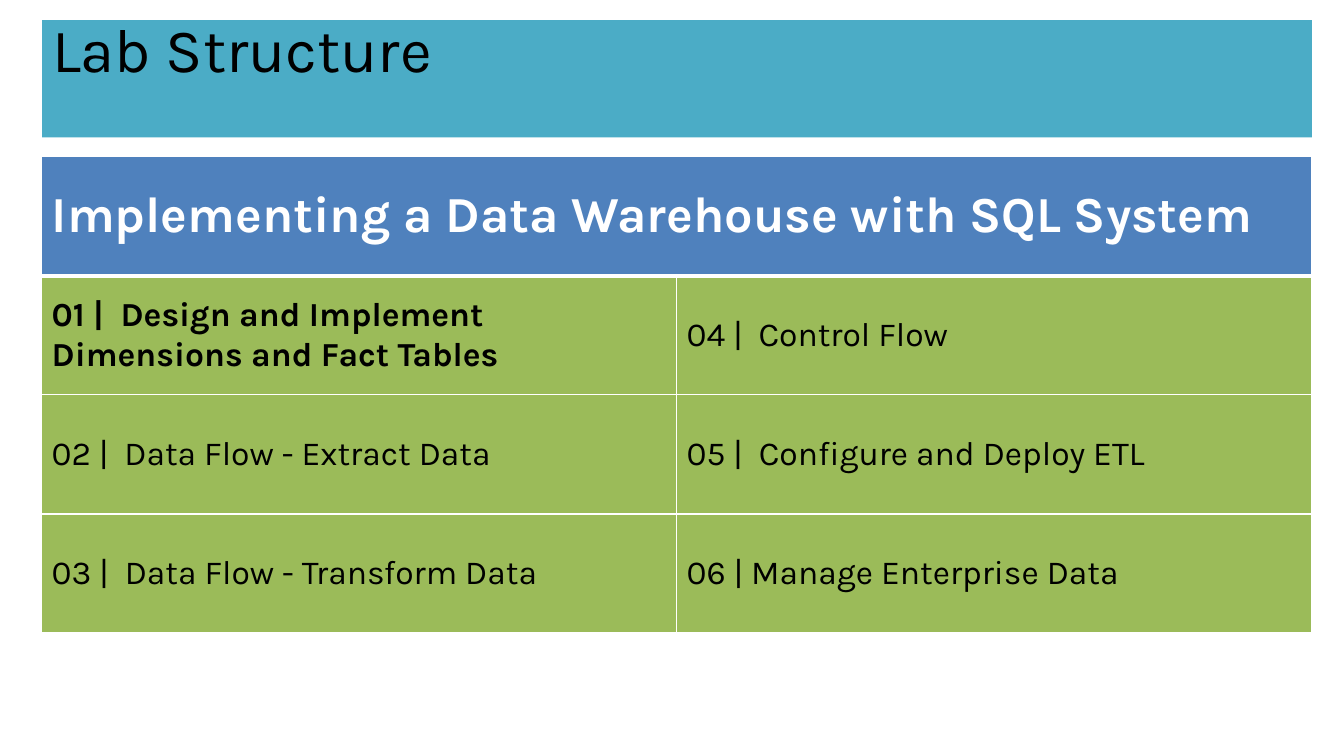
from dataclasses import dataclass

from lxml import etree
from pptx import Presentation
from pptx.dml.color import RGBColor
from pptx.enum.text import MSO_ANCHOR, MSO_AUTO_SIZE, PP_ALIGN
from pptx.oxml.ns import qn
from pptx.util import Cm, Pt

TOP, MIDDLE = MSO_ANCHOR.TOP, MSO_ANCHOR.MIDDLE
LEFT = PP_ALIGN.LEFT
NO_AUTOFIT = MSO_AUTO_SIZE.NONE
FONT = "Karla"
COLOURS = {
    "title": "4BACC6",
    "header": "4F81BD",
    "module": "9BBB59",
    "light": "FFFFFF",
    "dark": "000000",
}
TABLE_WIDTH, ROW_HEIGHT = Cm(32), Cm(3)
THIN, THICK = Pt(1), Pt(3)


@dataclass(frozen=True)
class TextStyle:
    """Size, colour key and weight of a text."""
    size: int
    colour: str
    bold: bool = False


@dataclass(frozen=True)
class Module:
    """One module of the lab and whether it is the current one."""
    text: str
    current: bool = False


TITLE_STYLE = TextStyle(44, "dark")
HEADER_STYLE = TextStyle(36, "light", bold=True)
COURSE = "Implementing a Data Warehouse with SQL System"
MODULES = [
    Module("01 |  Design and Implement Dimensions and Fact Tables", current=True),
    Module("02 |  Data Flow - Extract Data"),
    Module("03 |  Data Flow - Transform Data"),
    Module("04 |  Control Flow"),
    Module("05 |  Configure and Deploy ETL"),
    Module("06 | Manage Enterprise Data"),
]
MODULE_ROWS = 3


def paint(fill, colour: str) -> None:
    """Give a fill one solid colour."""
    fill.solid()
    fill.fore_color.rgb = RGBColor.from_string(COLOURS[colour])


def write(frame, text: str, style: TextStyle) -> None:
    """Set the text of a frame and format it."""
    frame.text = text
    para = frame.paragraphs[0]
    para.alignment = LEFT
    for span in para.runs:
        span.font.name = FONT
        span.font.size = Pt(style.size)
        span.font.bold = style.bold
        span.font.color.rgb = RGBColor.from_string(COLOURS[style.colour])


def add_borders(cell, top: int, bottom: int) -> None:
    """Draw light borders around a cell, thin at its sides."""
    properties = cell._tc.get_or_add_tcPr()
    widths = {"lnL": THIN, "lnR": THIN, "lnT": top, "lnB": bottom}
    for position, (side, width) in enumerate(widths.items()):
        line = etree.Element(qn(f"a:{side}"), w=str(width))
        fill = etree.SubElement(line, qn("a:solidFill"))
        etree.SubElement(fill, qn("a:srgbClr"), val=COLOURS["light"])
        properties.insert(position, line)


def add_title(page, text: str) -> None:
    """Turn the title placeholder into a coloured band."""
    box = page.shapes.title
    box.left, box.top, box.width, box.height = Cm(1.06), Cm(0.51), TABLE_WIDTH, Cm(2.95)
    paint(box.fill, "title")
    frame = box.text_frame
    frame.auto_size = NO_AUTOFIT
    frame.vertical_anchor = TOP
    write(frame, text, TITLE_STYLE)
    frame.paragraphs[0].line_spacing = 0.8


def add_module_table(page) -> None:
    """Draw the course header above the modules, numbered down each column."""
    rows, columns = MODULE_ROWS + 1, len(MODULES) // MODULE_ROWS
    table = page.shapes.add_table(
        rows, columns, Cm(1.05), Cm(3.95), TABLE_WIDTH, ROW_HEIGHT * rows
    ).table
    for row in range(rows):
        for column in range(columns):
            cell = table.cell(row, column)
            cell.vertical_anchor = MIDDLE
            paint(cell.fill, "module" if row else "header")
            add_borders(cell, THICK if row == 1 else THIN, THIN if row else THICK)
    header = table.cell(0, 0)
    header.merge(table.cell(0, columns - 1))
    write(header.text_frame, COURSE, HEADER_STYLE)
    for index, module in enumerate(MODULES):
        column, row = divmod(index, MODULE_ROWS)
        style = TextStyle(24, "dark", module.current)
        write(table.cell(row + 1, column).text_frame, module.text, style)


deck = Presentation()
deck.slide_width, deck.slide_height = Cm(33.87), Cm(19.05)
page = deck.slides.add_slide(deck.slide_layouts.get_by_name("Title Only"))
paint(page.background.fill, "light")
add_title(page, "Lab Structure")
add_module_table(page)
deck.save("out.pptx")
